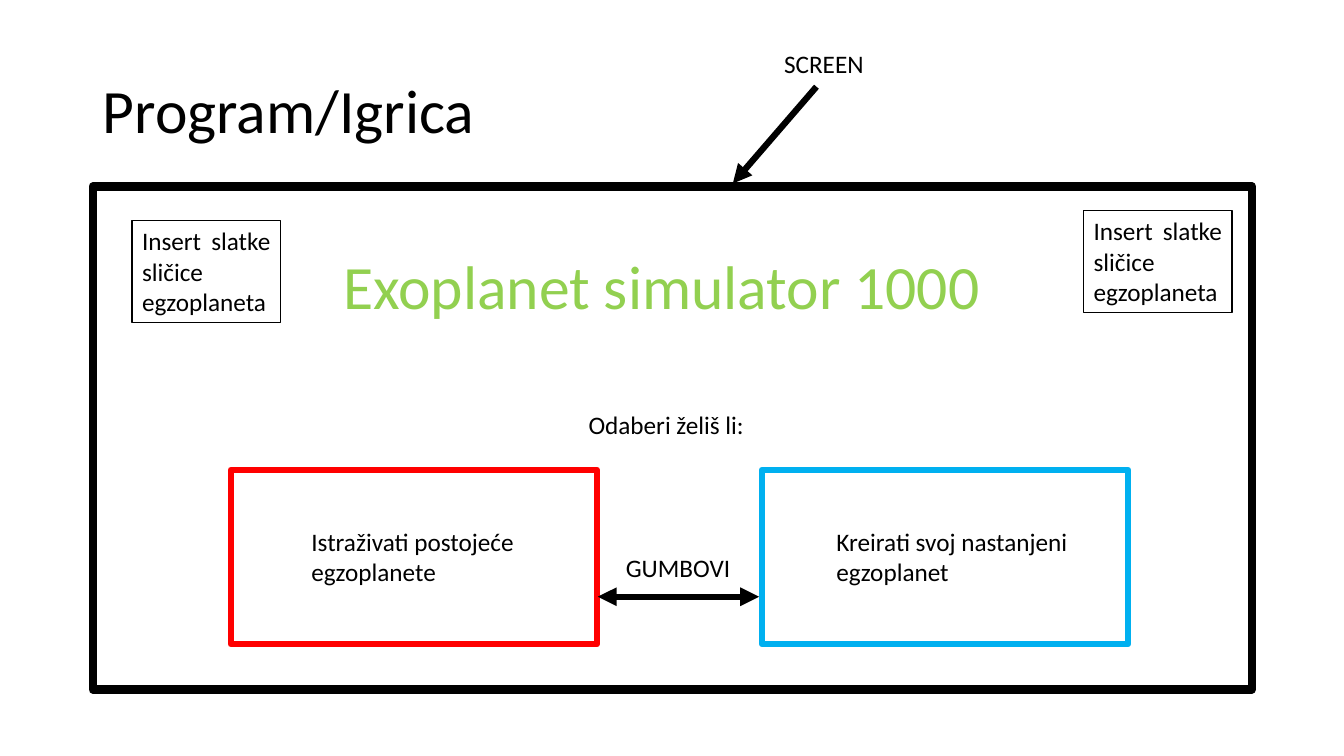
import pptx
import pptx.dml.color
import pptx.enum.shapes
import pptx.enum.text
import pptx.oxml
import pptx.oxml.ns
import pptx.util

ALIGN = pptx.enum.text.PP_ALIGN
ANCHOR = pptx.enum.text.MSO_ANCHOR
BLACK, WHITE, RED, BLUE, GREEN = "000000", "FFFFFF", "FF0000", "00B0F0", "92D050"


def rgb(code):
    """Turn a hex string into a colour."""
    return pptx.dml.color.RGBColor.from_string(code)


class Sketch:
    """Style and current slide; lengths are percentages of the slide's size."""

    font, body, heading = "Calibri", 18, 44

    def __init__(self, prs):
        """Add a title-only slide."""
        self.prs = prs
        self.s = prs.slides.add_slide(prs.slide_layouts[5])

    def place(self, *lengths):
        """Convert alternating x and y percentages to slide units."""
        sides = (self.prs.slide_width, self.prs.slide_height)
        return [round(v / 100 * sides[i % 2]) for i, v in enumerate(lengths)]

    def set_text(self, sp, text, size, color, align, anchor=ANCHOR.TOP):
        """Set and format the text of a shape."""
        tf = sp.text_frame
        tf.text = text
        tf.word_wrap = True
        tf.auto_size = pptx.enum.text.MSO_AUTO_SIZE.NONE
        tf.vertical_anchor = anchor
        p = tf.paragraphs[0]
        p.alignment = align
        font = p.runs[0].font
        font.name, font.size = self.font, pptx.util.Pt(size)
        font.color.rgb = rgb(color)
        return p

    def title(self, box, text):
        """Move and fill the title placeholder."""
        sp = self.s.shapes.title
        sp.left, sp.top, sp.width, sp.height = self.place(*box)
        p = self.set_text(sp, text, self.heading, BLACK, ALIGN.LEFT, ANCHOR.MIDDLE)
        p.line_spacing = 0.9

    def text(self, box, text, size=body, color=BLACK, align=ALIGN.LEFT):
        """Add a wrapping text box."""
        sp = self.s.shapes.add_textbox(*self.place(*box))
        self.set_text(sp, text, size, color, align)

    def box(self, box, color, width, text=None):
        """Add an outlined white rectangle, with justified text if given."""
        kind = pptx.enum.shapes.MSO_SHAPE.RECTANGLE
        sp = self.s.shapes.add_shape(kind, *self.place(*box))
        sp.shadow.inherit = False
        sp.fill.solid()
        sp.fill.fore_color.rgb = rgb(WHITE)
        sp.line.color.rgb = rgb(color)
        sp.line.width = pptx.util.Pt(width)
        if text:
            self.set_text(sp, text, self.body, BLACK, ALIGN.JUSTIFY)

    def arrow(self, ends, heads=("tailEnd",)):
        """Add a thick arrow with triangles at the named ends."""
        kind = pptx.enum.shapes.MSO_CONNECTOR.STRAIGHT
        line = self.s.shapes.add_connector(kind, *self.place(*ends))
        line.line.color.rgb = rgb(BLACK)
        line.line.width = pptx.util.Pt(4.5)
        props = line._element.spPr
        ns = pptx.oxml.ns.nsdecls("a")
        for head in heads:
            end = pptx.oxml.parse_xml(f'<a:{head} {ns} type="triangle"/>')
            props.get_or_add_ln().append(end)
        props.append(pptx.oxml.parse_xml(f"<a:effectLst {ns}/>"))


prs = pptx.Presentation()
prs.slide_width = pptx.util.Inches(13.33)
prs.slide_height = pptx.util.Inches(7.5)
sketch = Sketch(prs)

margin, content = 6.9, 86.25
sketch.title((margin, 5.33, content, 19.33), "Program/Igrica")
sketch.box((margin, 24.67, content, 66.53), BLACK, 6)
sketch.arrow((60.75, 11.47, 54.53, 24.27))
sketch.text((57.6, 5.73, 17.7, 5.33), "SCREEN")
sketch.text((23.85, 32.13, 50.78, 21.07), "Exoplanet simulator 1000",
            Sketch.heading, GREEN, ALIGN.CENTER)
sketch.text((43.05, 53.47, 17.7, 5.33), "Odaberi želiš li:")

for left, top in ((9.83, 29.2), (80.63, 27.87)):
    sketch.box((left, top, 11.03, 13.47), BLACK, 1, "Insert slatke sličice egzoplaneta")

buttons = (
    (17.18, RED, 22.43, 17.7, "Istraživati postojeće egzoplanete"),
    (56.7, BLUE, 61.5, 19.88, "Kreirati svoj nastanjeni egzoplanet"),
)
for left, color, text_left, text_width, label in buttons:
    sketch.box((left, 62.13, 27.23, 23.07), color, 4.5)
    sketch.text((text_left, 68.93, text_width, 9.47), label)

sketch.arrow((56.48, 78.93, 44.48, 78.93), ("headEnd", "tailEnd"))
sketch.text((45.83, 72.4, 9.38, 5.33), "GUMBOVI")

prs.save("out.pptx")
